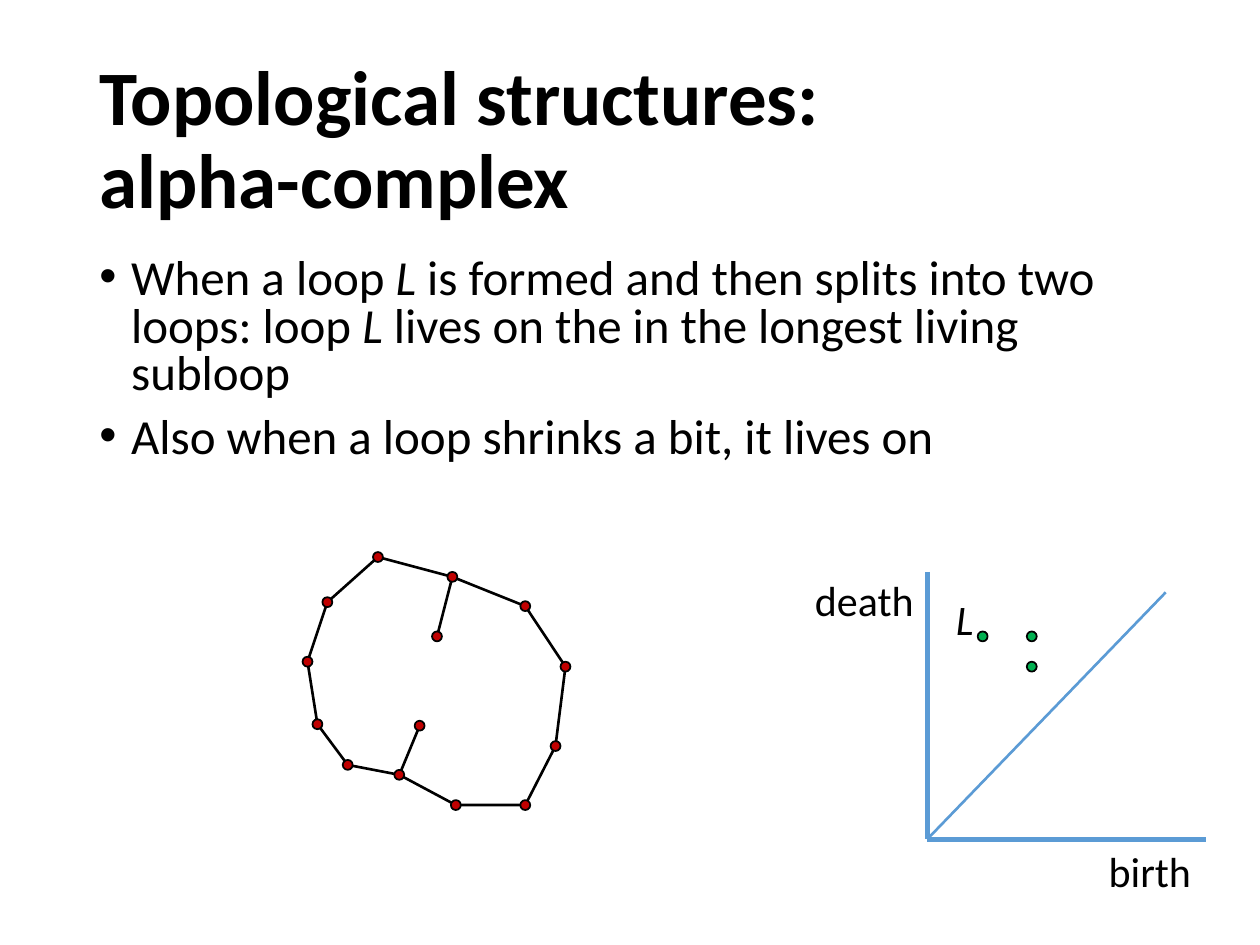
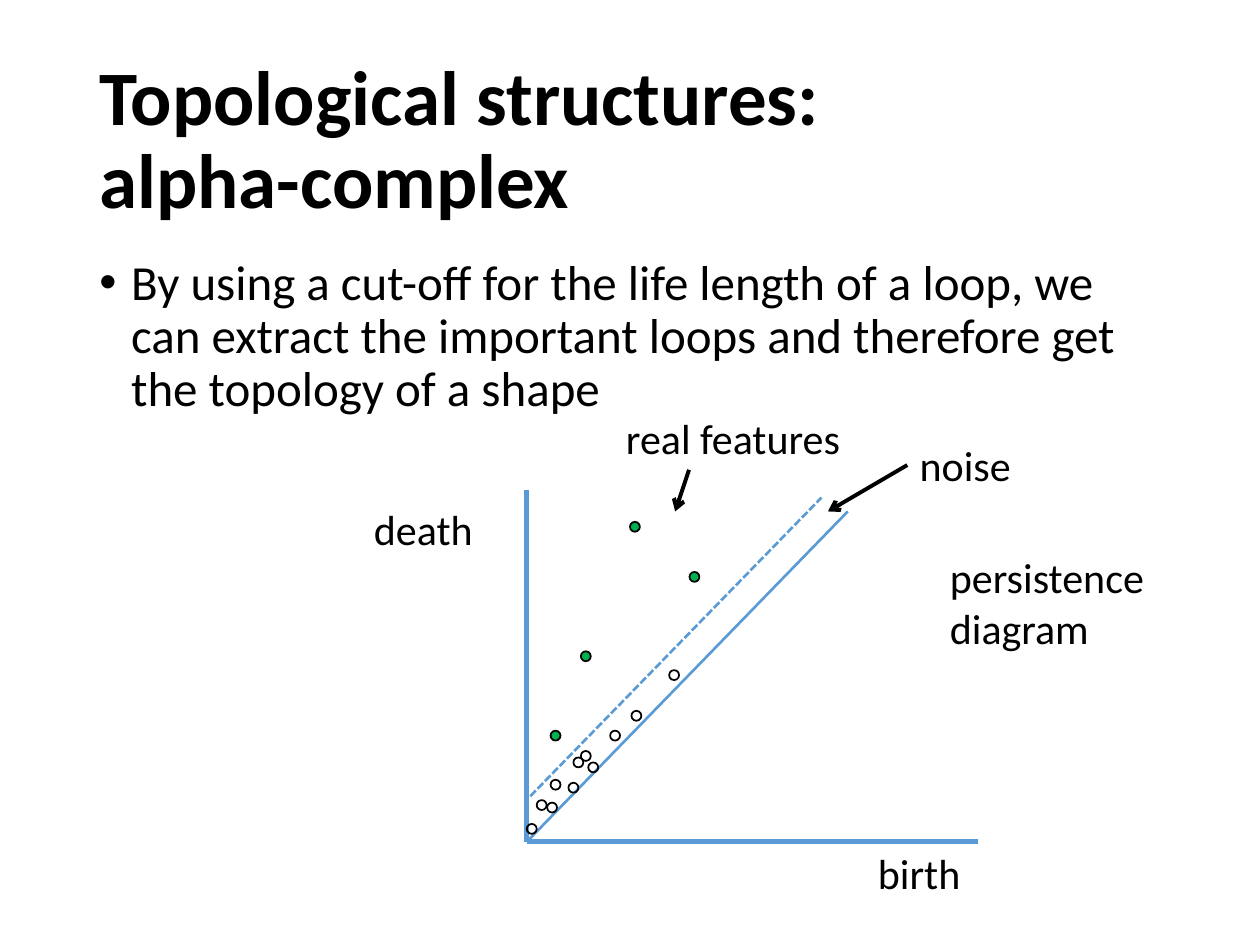
import pptx
import pptx.dml.color
import pptx.enum.dml
import pptx.enum.shapes
import pptx.enum.text
import pptx.oxml.ns
import pptx.util
from lxml import etree

Cm = pptx.util.Cm
Pt = pptx.util.Pt
RGBColor = pptx.dml.color.RGBColor
qn = pptx.oxml.ns.qn

BLACK = RGBColor(0x00, 0x00, 0x00)
AXIS_BLUE = RGBColor(0x5B, 0x9B, 0xD5)
POINT_RED = RGBColor(0xC0, 0x00, 0x00)
FEATURE_GREEN = RGBColor(0x00, 0xB0, 0x50)

FONT = "Calibri"
TITLE_LINES = ("Topological structures: ", "alpha-complex")
TITLE_BOX = (1.75, 1.02, 21.9, 3.68)
BODY_BOX = (1.75, 5.08, 21.9, 4.85)
DOT = 0.2
LABEL_HEIGHT = 1.27

# All positions are centres or corners in centimetres.
LOOP = [
    (8.05, 15.62), (9.19, 16.23), (10.59, 16.23), (11.2, 15.04),
    (11.4, 13.44), (10.59, 12.22), (9.12, 11.63), (7.62, 11.23),
    (6.6, 12.14), (6.2, 13.34), (6.4, 14.6), (7.01, 15.42),
]
UPPER_SPUR = (8.81, 12.83)
LOWER_SPUR = (8.46, 14.63)
LOOP_LIVES = [(19.81, 12.83), (20.8, 12.83), (20.8, 13.44)]

FEATURES = [(11.2, 14.83), (11.81, 13.23), (12.8, 10.62), (14, 11.63)]
NOISE = [
    (10.92, 16.23), (11.13, 16.28), (10.72, 16.71), (11.66, 15.37),
    (11.2, 15.82), (11.56, 15.88), (11.96, 15.47), (12.4, 14.83),
    (12.83, 14.43), (11.81, 15.24), (13.59, 13.61),
]


def add_run(p, text, size, bold=None, italic=None):
    r = p.add_run()
    r.text = text
    r.font.name = FONT
    r.font.size = Pt(size)
    r.font.bold = bold
    r.font.italic = italic
    r.font.color.rgb = BLACK


def place(sp, box):
    sp.left, sp.top, sp.width, sp.height = map(Cm, box)


def fill_title(sp):
    place(sp, TITLE_BOX)
    tf = sp.text_frame
    tf.auto_size = pptx.enum.text.MSO_AUTO_SIZE.NONE
    tf.vertical_anchor = pptx.enum.text.MSO_ANCHOR.MIDDLE
    p = tf.paragraphs[0]
    p.alignment = pptx.enum.text.PP_ALIGN.LEFT
    p.line_spacing = 0.9
    for i, text in enumerate(TITLE_LINES):
        if i:
            p.add_line_break()
        add_run(p, text, 44, bold=True)


def set_bullet(p):
    pPr = p._p.get_or_add_pPr()
    pPr.set("marL", str(Cm(0.64)))
    pPr.set("indent", str(-Cm(0.64)))
    etree.SubElement(pPr, qn("a:buFont")).set("typeface", "Arial")
    etree.SubElement(pPr, qn("a:buChar")).set("char", "•")


def fill_body(sp, items, line_spacing):
    """Each item is a list of text parts; every second part is italic."""
    place(sp, BODY_BOX)
    tf = sp.text_frame
    tf.auto_size = pptx.enum.text.MSO_AUTO_SIZE.NONE
    for i, parts in enumerate(items):
        p = tf.add_paragraph() if i else tf.paragraphs[0]
        set_bullet(p)
        p.line_spacing = line_spacing
        p.space_before = Pt(10 if i else 0)
        for j, text in enumerate(parts):
            add_run(p, text, 28, italic=j % 2 == 1)


def add_content_slide(prs, items, line_spacing):
    slide = prs.slides.add_slide(prs.slide_layouts[1])
    fill_title(slide.shapes.title)
    fill_body(slide.placeholders[1], items, line_spacing)
    return slide


def add_label(slide, text, x, y, width, height=LABEL_HEIGHT, wrap=False, italic=None):
    sp = slide.shapes.add_textbox(Cm(x), Cm(y), Cm(width), Cm(height))
    tf = sp.text_frame
    tf.word_wrap = wrap
    add_run(tf.paragraphs[0], text, 24, italic=italic)
    return sp


def add_line(slide, start, end, color, width):
    line = slide.shapes.add_connector(
        pptx.enum.shapes.MSO_CONNECTOR.STRAIGHT, *map(Cm, start + end))
    line.line.color.rgb = color
    line.line.width = Pt(width)
    etree.SubElement(line._element.spPr, qn("a:effectLst"))
    return line


def add_arrow(slide, start, end):
    arrow = add_line(slide, start, end, BLACK, 2.25)
    ln = arrow.line._get_or_add_ln()
    etree.SubElement(ln, qn("a:tailEnd")).set("type", "arrow")
    return arrow


def add_dots(slide, centres, color=None):
    """Draw small circles, hollow when no color is given."""
    for x, y in centres:
        sp = slide.shapes.add_shape(
            pptx.enum.shapes.MSO_SHAPE.OVAL,
            Cm(x - DOT / 2), Cm(y - DOT / 2), Cm(DOT), Cm(DOT))
        sp.shadow.inherit = False
        if color is None:
            sp.fill.background()
        else:
            sp.fill.solid()
            sp.fill.fore_color.rgb = color
        sp.line.color.rgb = BLACK
        sp.line.width = Pt(1)


def add_outline(slide, points):
    start, *rest = [(Cm(x), Cm(y)) for x, y in points]
    builder = slide.shapes.build_freeform(*start)
    builder.add_line_segments(rest, close=True)
    sp = builder.convert_to_shape()
    sp.shadow.inherit = False
    sp.fill.background()
    sp.line.color.rgb = BLACK
    sp.line.width = Pt(1.5)


def add_persistence_axes(slide, origin, top, right, diagonal_end, death_at, birth_at):
    x, y = origin
    add_line(slide, (x, top), origin, AXIS_BLUE, 3)
    add_line(slide, origin, (right, y), AXIS_BLUE, 3)
    add_line(slide, origin, diagonal_end, AXIS_BLUE, 1.5)
    add_label(slide, "death", *death_at, 2.51)
    add_label(slide, "birth", *birth_at, 2.18)


def build_loop_slide(prs):
    slide = add_content_slide(prs, [
        ["When a loop ", "L", " is formed and then splits into two loops: loop ",
         "L", " lives on the in the longest living subloop"],
        ["Also when a loop shrinks a bit, it lives on"],
    ], 0.8)
    add_outline(slide, LOOP)
    add_line(slide, LOOP[6], UPPER_SPUR, BLACK, 1.5)
    add_line(slide, LOOP[0], LOWER_SPUR, BLACK, 1.5)
    add_dots(slide, LOOP + [UPPER_SPUR, LOWER_SPUR], POINT_RED)

    add_persistence_axes(slide, (18.69, 16.92), 11.53, 24.31, (23.5, 11.94),
                         death_at=(16.18, 11.46), birth_at=(22.1, 16.92))
    add_dots(slide, LOOP_LIVES, FEATURE_GREEN)
    add_label(slide, "L", 19.02, 11.84, 0.86, italic=True)


def build_cutoff_slide(prs):
    slide = add_content_slide(prs, [
        ["By using a cut-off for the life length of a loop, we can extract the "
         "important loops and therefore get the topology of a shape"],
    ], 0.9)
    add_persistence_axes(slide, (10.62, 16.97), 9.88, 19.71, (17.09, 10.31),
                         death_at=(7.29, 10.03), birth_at=(17.45, 16.97))
    cutoff = add_line(slide, (10.69, 16.05), (16.56, 10.03), AXIS_BLUE, 1.5)
    cutoff.line.dash_style = pptx.enum.dml.MSO_LINE.SQUARE_DOT
    add_dots(slide, FEATURES, FEATURE_GREEN)
    add_dots(slide, NOISE)

    add_label(slide, "persistence diagram", 18.9, 11, 5.05, 2.31, wrap=True)
    add_label(slide, "real features", 12.37, 8.2, 4.88)
    noise = add_label(slide, "noise", 18.29, 8.74, 2.36)
    add_arrow(slide, (18.29, 9.37), (16.69, 10.31)).begin_connect(noise, 1)
    add_arrow(slide, (13.89, 9.47), (13.61, 10.31))


def main():
    prs = pptx.Presentation()
    prs.slide_width = Cm(25.4)
    prs.slide_height = Cm(19.05)
    build_loop_slide(prs)
    build_cutoff_slide(prs)
    prs.save("out.pptx")


if __name__ == "__main__":
    main()
